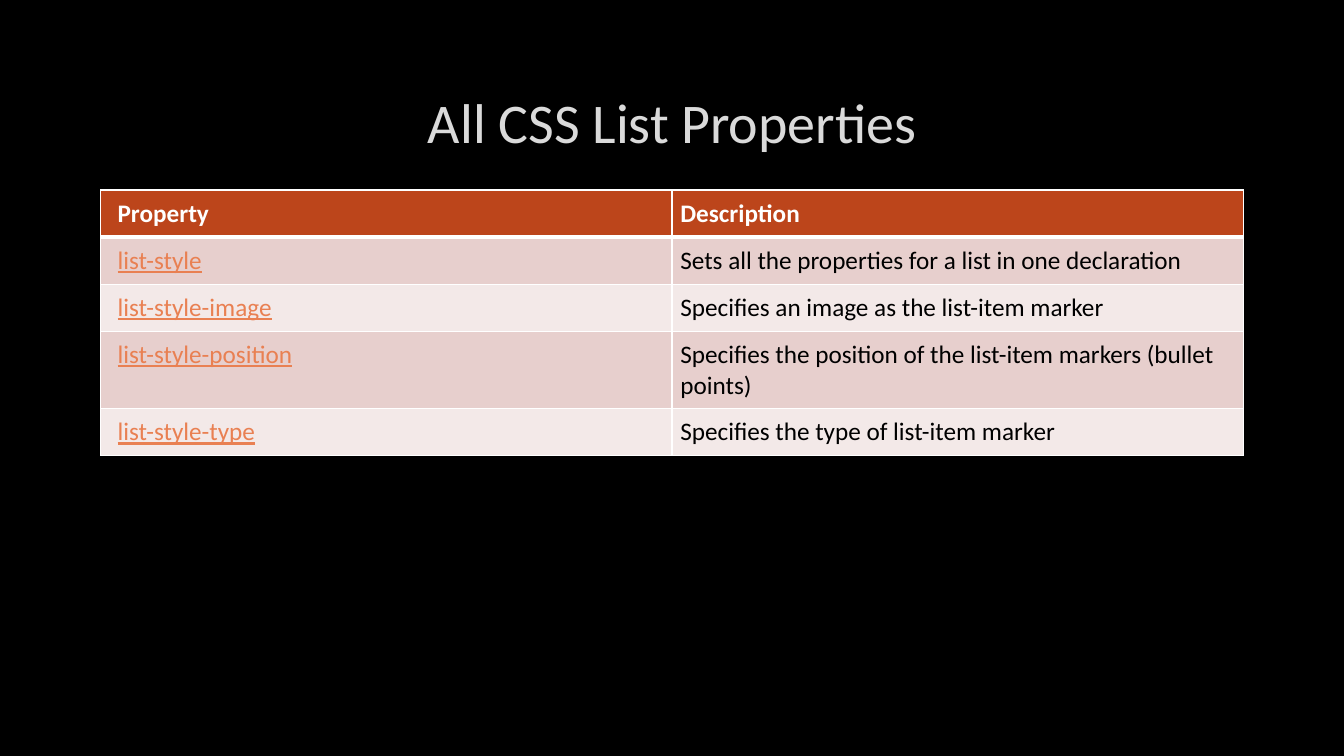
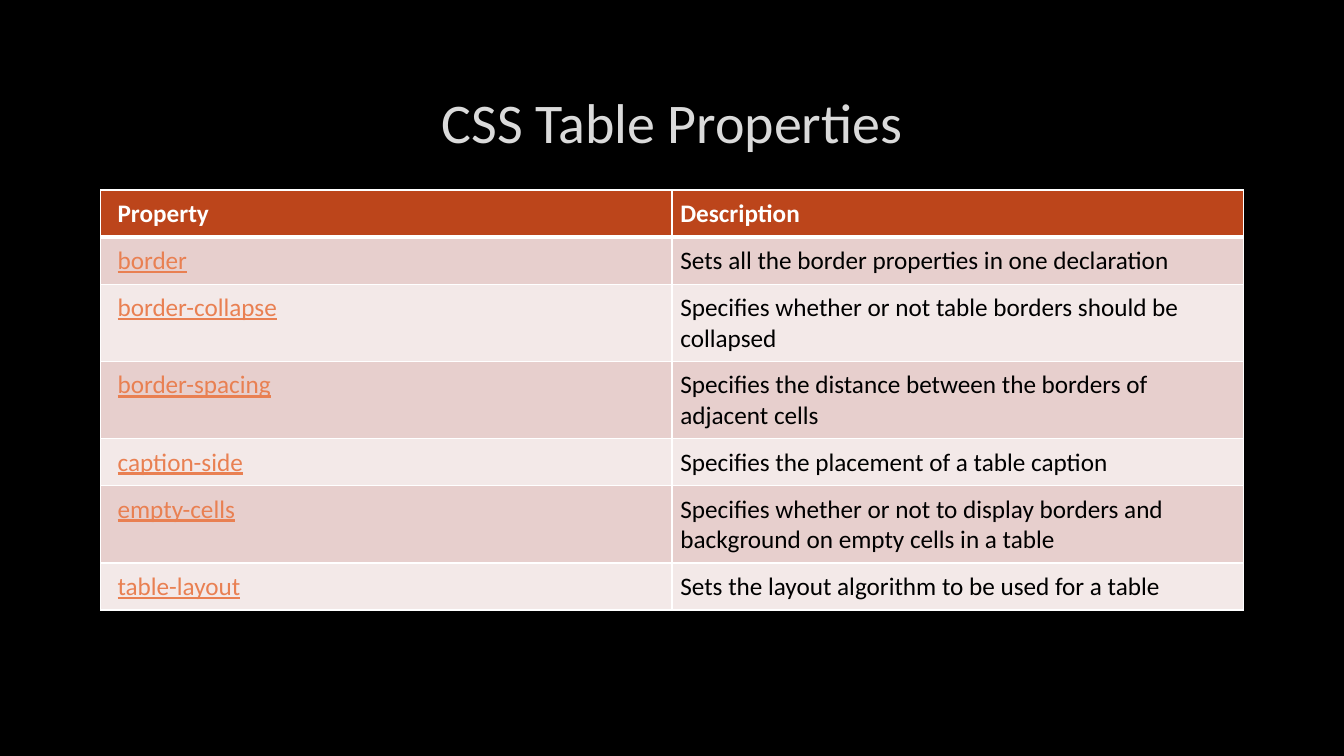
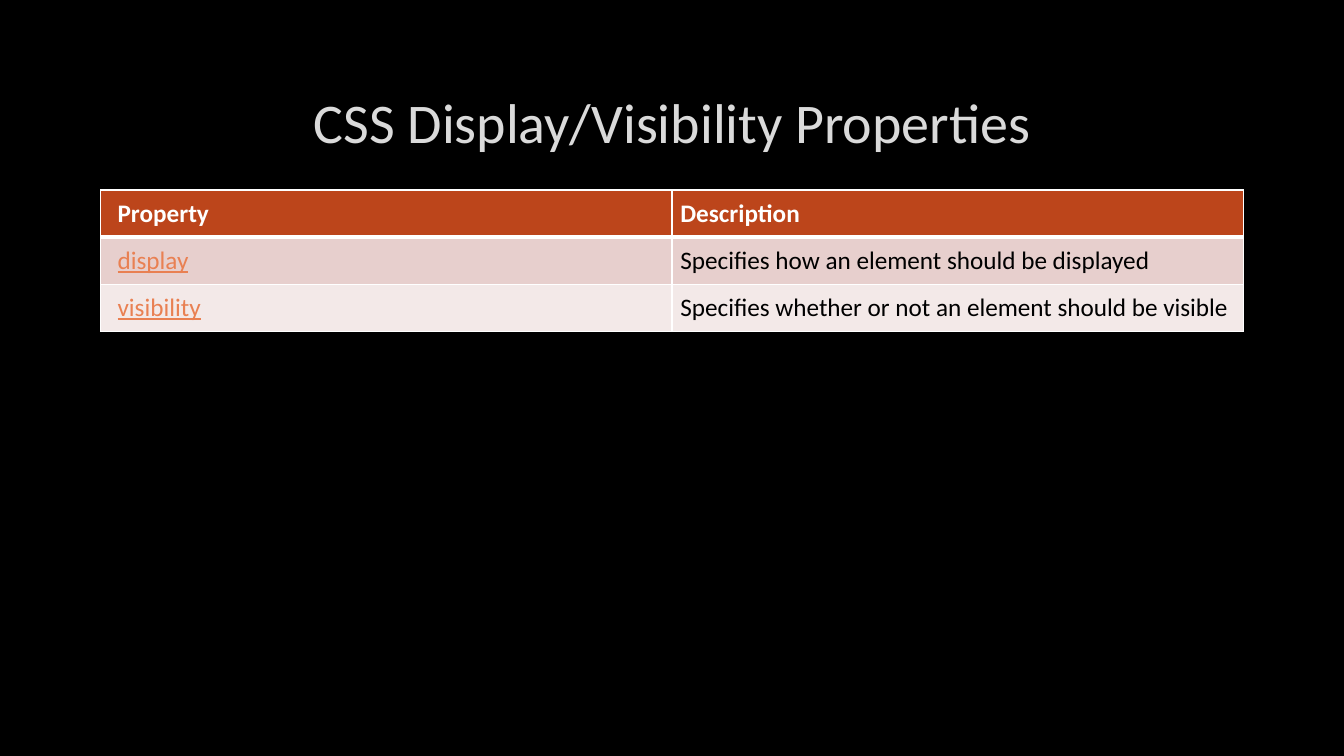
from lxml.etree import SubElement
from pptx import Presentation
from pptx.dml.color import RGBColor
from pptx.enum.text import MSO_ANCHOR, PP_ALIGN
from pptx.oxml import parse_xml
from pptx.oxml.ns import nsdecls, qn
from pptx.util import Pt

EMU_PER_PX = 9525
SLIDE_W, SLIDE_H = 1280, 720
MARGIN = 96

SLIDES = [
    ("All CSS List Properties", 253, [
        ("list-style", "Sets all the properties for a list in one declaration"),
        ("list-style-image", "Specifies an image as the list-item marker"),
        ("list-style-position",
         "Specifies the position of the list-item markers (bullet points)"),
        ("list-style-type", "Specifies the type of list-item marker"),
    ]),
    ("CSS Table Properties", 400, [
        ("border", "Sets all the border properties in one declaration"),
        ("border-collapse",
         "Specifies whether or not table borders should be collapsed"),
        ("border-spacing",
         "Specifies the distance between the borders of adjacent cells"),
        ("caption-side", "Specifies the placement of a table caption"),
        ("empty-cells",
         "Specifies whether or not to display borders and background on empty cells in a table"),
        ("table-layout", "Sets the layout algorithm to be used for a table"),
    ]),
    ("CSS Display/Visibility Properties", 163, [
        ("display", "Specifies how an element should be displayed"),
        ("visibility", "Specifies whether or not an element should be visible"),
    ]),
]


def px(n):
    return n * EMU_PER_PX


def rgb(color):
    return RGBColor.from_string(color)


class Deck:
    FONT = "Calibri"
    BACKGROUND = "000000"
    TITLE = "DADADA"
    OUTLINE = "404040"
    HEADER = "BC451B"
    BANDS = ("E7CFCD", "F3E9E8")
    LINK = "E98052"
    BODY = "000000"
    WHITE = "FFFFFF"
    ROW_H = 39

    def __init__(self):
        self.prs = Presentation()
        self.prs.slide_width, self.prs.slide_height = px(SLIDE_W), px(SLIDE_H)
        self.s = None

    def add_slide(self):
        self.s = self.prs.slides.add_slide(self.prs.slide_layouts[6])
        fill = self.s.background.fill
        fill.solid()
        fill.fore_color.rgb = rgb(self.BACKGROUND)

    def run(self, p, text, size, color, bold=False, underline=False):
        r = p.add_run()
        r.text = text
        r.font.name, r.font.size = self.FONT, Pt(size)
        r.font.bold, r.font.underline = bold, underline
        r.font.color.rgb = rgb(color)
        return r

    def title(self, text):
        sp = self.s.shapes.add_textbox(
            px(MARGIN), px(64), px(SLIDE_W - 2 * MARGIN), px(102))
        tf = sp.text_frame
        tf.word_wrap = True
        tf.vertical_anchor = MSO_ANCHOR.MIDDLE
        p = tf.paragraphs[0]
        p.alignment = PP_ALIGN.CENTER
        r = self.run(p, text, 40, self.TITLE)
        r.font._element.insert(0, parse_xml(
            f'<a:ln {nsdecls("a")} w="{Pt(0.75)}"><a:solidFill>'
            f'<a:srgbClr val="{self.OUTLINE}"><a:alpha val="10000"/></a:srgbClr>'
            '</a:solidFill></a:ln>'))

    def borders(self, cell, top, bottom):
        """Draw white cell borders; top and bottom are widths in points."""
        tc_pr = cell._tc.get_or_add_tcPr()
        for side, width in (("L", 1), ("R", 1), ("T", top), ("B", bottom)):
            ln = SubElement(tc_pr, qn(f"a:ln{side}"), w=str(Pt(width)))
            fill = SubElement(ln, qn("a:solidFill"))
            SubElement(fill, qn("a:srgbClr"), val=self.WHITE)

    def cell(self, cell, text, row, col):
        header = row == 0
        cell.margin_left = px(8 if col else 16)
        cell.margin_top = cell.margin_right = cell.margin_bottom = px(8)
        self.borders(cell, 3 if row == 1 else 1, 3 if header else 1)
        cell.fill.solid()
        cell.fill.fore_color.rgb = rgb(
            self.HEADER if header else self.BANDS[(row - 1) % 2])
        link = not header and col == 0
        color = self.WHITE if header else self.LINK if link else self.BODY
        self.run(cell.text_frame.paragraphs[0], text, 18, color, header, link)

    def table(self, height, entries):
        rows = [("Property", "Description"), *entries]
        frame = self.s.shapes.add_table(
            len(rows), 2, px(MARGIN), px(181),
            px(SLIDE_W - 2 * MARGIN), px(height))
        table = frame.table
        table.first_row = table.horz_banding = False
        for i, texts in enumerate(rows):
            table.rows[i].height = px(self.ROW_H)
            for j, text in enumerate(texts):
                self.cell(table.cell(i, j), text, i, j)
        frame.height = px(height)


def main():
    deck = Deck()
    for title, height, entries in SLIDES:
        deck.add_slide()
        deck.title(title)
        deck.table(height, entries)
    deck.prs.save("out.pptx")


if __name__ == "__main__":
    main()
